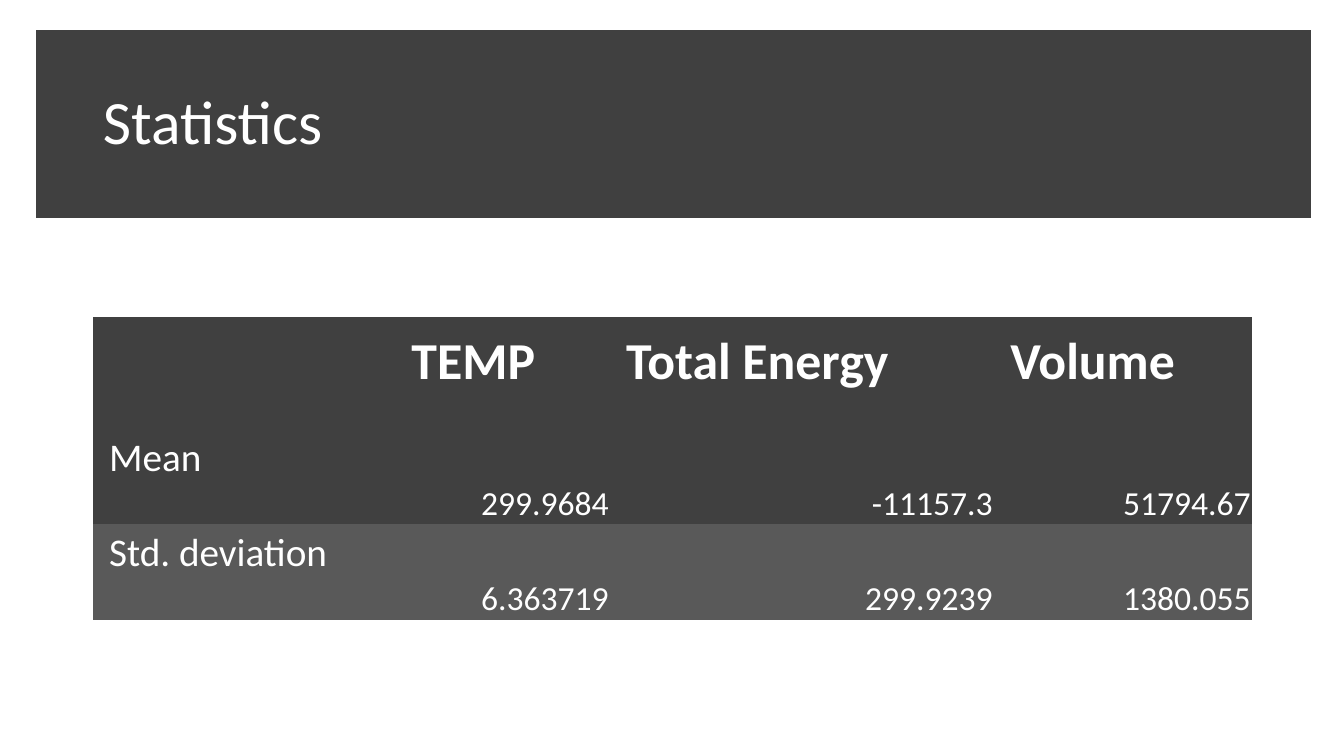
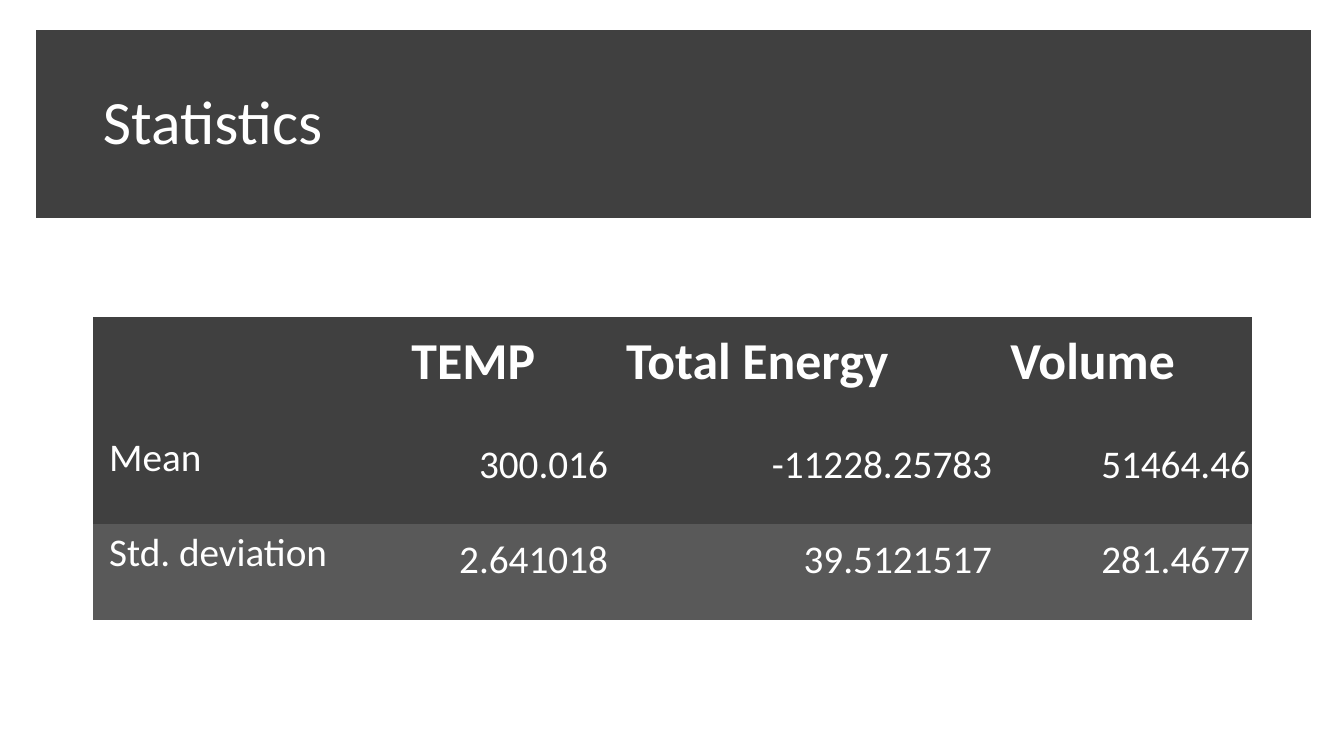
"""Build two statistics slides, each with a dark title band and a table."""
from lxml.etree import SubElement
from pptx import Presentation
from pptx.dml.color import RGBColor
from pptx.enum.shapes import MSO_SHAPE
from pptx.enum.text import MSO_ANCHOR, PP_ALIGN
from pptx.oxml import parse_xml
from pptx.oxml.ns import nsdecls, qn
from pptx.util import Cm, Pt

TITLE = "Statistics"
HEADINGS = ["", "TEMP", "Total Energy", "Volume"]
LABEL_MARGINS = (0.41, 0.13, 0.58, 0.89)
SLIDES = [
    {
        "rows": [
            ["Mean", "299.9684", "-11157.3", "51794.67"],
            ["Std. deviation", "6.363719", "299.9239", "1380.055"],
        ],
        "number_size": 24,
        "number_margins": (0.03, 0.03, 0.03, 0),
    },
    {
        "rows": [
            ["Mean", "300.016", "-11228.25783", "51464.46"],
            ["Std. deviation", "2.641018", "39.5121517", "281.4677"],
        ],
        "number_size": 28,
        "number_margins": (0.41, 0.13, 0.05, 0.89),
    },
]

COLORS = {"dark": "404040", "grey": "595959", "white": "FFFFFF"}
ROW_COLORS = ["dark", "dark", "grey"]
FONT = "Calibri"
SLIDE_SIZE = (33.87, 19.05)
BAND_BOX = (1.09, 0.94, 31.78, 4.39)
TITLE_BOX = (2.34, 1.3, 29.21, 3.68)
TABLE_ORIGIN = (2.34, 8)
COLUMN_WIDTHS = [7.62, 5.41, 9.68, 6.5]
ROW_HEIGHTS = [2.8, 2.41, 2.41]
PLAIN_TABLE_STYLE = "{2D5ABB26-0587-4C30-8999-92F81FD0307C}"


def color(name):
    return RGBColor.from_string(COLORS[name])


def lengths(values):
    return [Cm(value) for value in values]


def format_text(text_frame, size, bold=False, alignment=PP_ALIGN.LEFT):
    for paragraph in text_frame.paragraphs:
        paragraph.alignment = alignment
        for run in paragraph.runs:
            run.font.name = FONT
            run.font.size = Pt(size)
            run.font.bold = bold
            run.font.color.rgb = color("white")


def add_title(slide):
    title = slide.shapes.title
    title.left, title.top, title.width, title.height = lengths(TITLE_BOX)
    title.text_frame.text = TITLE
    title.text_frame.vertical_anchor = MSO_ANCHOR.MIDDLE
    title.text_frame.paragraphs[0].line_spacing = 0.9
    format_text(title.text_frame, 44)

    band = slide.shapes.add_shape(MSO_SHAPE.RECTANGLE, *lengths(BAND_BOX))
    band.shadow.inherit = False
    band.fill.solid()
    band.fill.fore_color.rgb = color("dark")
    band.line.color.rgb = color("dark")
    band.line.width = Pt(10)
    SubElement(band.line._get_or_add_ln(), qn("a:miter"), lim="800000")
    title.element.addprevious(band.element)


def add_left_border(cell):
    border = parse_xml(
        f'<a:lnL {nsdecls("a")} w="{Pt(1)}"><a:solidFill>'
        f'<a:srgbClr val="{COLORS["white"]}"/></a:solidFill></a:lnL>'
    )
    cell._tc.get_or_add_tcPr().insert(0, border)


def fill_cell(cell, text, row, column, content):
    is_number = row > 0 and column > 0
    is_label = row > 0 and column == 0
    margins = content["number_margins"] if is_number else LABEL_MARGINS
    cell.margin_left, cell.margin_top, cell.margin_right, cell.margin_bottom = lengths(margins)
    cell.vertical_anchor = MSO_ANCHOR.TOP if is_label else MSO_ANCHOR.BOTTOM
    cell.fill.solid()
    cell.fill.fore_color.rgb = color(ROW_COLORS[row])
    cell.text_frame.text = text
    if is_number:
        format_text(cell.text_frame, content["number_size"], alignment=PP_ALIGN.RIGHT)
    elif is_label:
        format_text(cell.text_frame, 28)
        add_left_border(cell)
    else:
        format_text(cell.text_frame, 37, bold=True)


def add_statistics_table(slide, content):
    rows = [HEADINGS] + content["rows"]
    size = (sum(COLUMN_WIDTHS), sum(ROW_HEIGHTS))
    frame = slide.shapes.add_table(len(rows), len(HEADINGS), *lengths(TABLE_ORIGIN + size))
    table = frame.table
    table.first_row = table.horz_banding = False
    table._tbl.tblPr.find(qn("a:tableStyleId")).text = PLAIN_TABLE_STYLE
    for column, width in zip(table.columns, COLUMN_WIDTHS):
        column.width = Cm(width)
    for row, height in zip(table.rows, ROW_HEIGHTS):
        row.height = Cm(height)
    for row, texts in enumerate(rows):
        for column, text in enumerate(texts):
            fill_cell(table.cell(row, column), text, row, column, content)


def main():
    presentation = Presentation()
    presentation.slide_width, presentation.slide_height = lengths(SLIDE_SIZE)
    title_only = presentation.slide_layouts[5]
    for content in SLIDES:
        slide = presentation.slides.add_slide(title_only)
        add_title(slide)
        add_statistics_table(slide, content)
    presentation.save("out.pptx")


if __name__ == "__main__":
    main()
